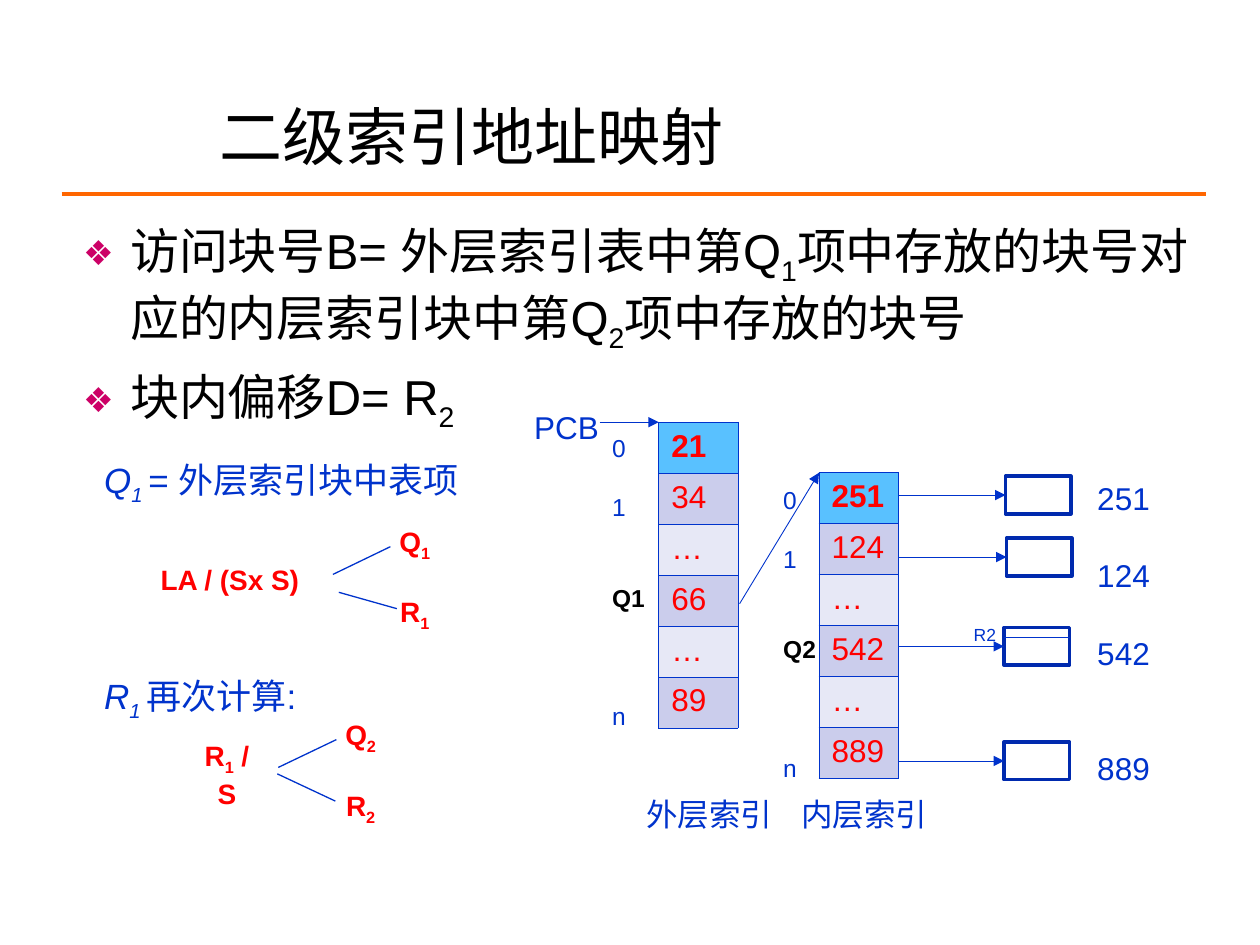
from lxml.etree import SubElement
from pptx import Presentation
from pptx.dml.color import RGBColor
from pptx.enum.shapes import MSO_CONNECTOR, MSO_SHAPE
from pptx.enum.text import MSO_ANCHOR, PP_ALIGN
from pptx.oxml.ns import qn
from pptx.util import Cm, Pt

BLACK = RGBColor(0x00, 0x00, 0x00)
WHITE = RGBColor(0xFF, 0xFF, 0xFF)
RED = RGBColor(0xFF, 0x00, 0x00)
BLUE = RGBColor(0x00, 0x33, 0xCC)
BOX_BLUE = RGBColor(0x00, 0x2A, 0xAE)
ORANGE = RGBColor(0xFF, 0x66, 0x00)
MAGENTA = RGBColor(0xCC, 0x00, 0x66)
HEADER_FILL = RGBColor(0x59, 0xC1, 0xFF)
DARK_FILL = RGBColor(0xCB, 0xCD, 0xEC)
LIGHT_FILL = RGBColor(0xE7, 0xE8, 0xF6)


def write_runs(paragraph, runs, size, color):
    for text, style in runs:
        run = paragraph.add_run()
        run.text = text
        run.font.name = "Arial"
        run.font.size = Pt(size)
        run.font.bold = "bold" in style
        run.font.italic = "italic" in style
        run.font.color.rgb = BLACK if "black" in style else color
        if "sub" in style:
            run._r.get_or_add_rPr().set("baseline", "-25000")


def add_line(start, end, color=BLUE, width=0.5, arrow=False):
    line = slide.shapes.add_connector(
        MSO_CONNECTOR.STRAIGHT, Cm(start[0]), Cm(start[1]), Cm(end[0]), Cm(end[1]))
    line.line.color.rgb = color
    line.line.width = Pt(width)
    if arrow:
        SubElement(line.line._get_or_add_ln(), qn("a:tailEnd"), type="triangle")
    SubElement(line._element.spPr, qn("a:effectLst"))
    return line


presentation = Presentation()
presentation.slide_width = Cm(25.4)
presentation.slide_height = Cm(19.05)
slide = presentation.slides.add_slide(presentation.slide_layouts[1])

add_line((1.24, 3.91), (24.31, 3.91), ORANGE, 2.25)

title = slide.shapes.title
title.left, title.top, title.width, title.height = Cm(4.17), Cm(1.91), Cm(18.44), Cm(1.63)
title.text_frame.vertical_anchor = MSO_ANCHOR.MIDDLE
title_paragraph = title.text_frame.paragraphs[0]
title_paragraph.alignment = PP_ALIGN.LEFT
write_runs(title_paragraph, [("二级索引地址映射", "")], 36, BLACK)

body = slide.placeholders[1]
body.left, body.top, body.width, body.height = Cm(1.42), Cm(4.32), Cm(22.86), Cm(2.39)
body_items = [
    [("访问块号B= 外层索引表中第Q", ""), ("1", "sub"),
     ("项中存放的块号对应的内层索引块中第Q", ""), ("2", "sub"), ("项中存放的块号", "")],
    [("块内偏移D= R", ""), ("2", "sub")],
]
for number, runs in enumerate(body_items):
    frame = body.text_frame
    paragraph = frame.add_paragraph() if number else frame.paragraphs[0]
    paragraph.space_before = Pt(7)
    write_runs(paragraph, runs, 28, BLACK)
    properties = paragraph._p.get_or_add_pPr()
    properties.set("marL", str(Cm(0.95)))
    properties.set("indent", str(Cm(-0.95)))
    bullet_color = SubElement(properties, qn("a:buClr"))
    SubElement(bullet_color, qn("a:srgbClr"), val=str(MAGENTA))
    SubElement(properties, qn("a:buSzPct"), val="70000")
    SubElement(properties, qn("a:buChar"), char="❖")

formulas = [
    (2.97, 11.2, 3.33, 0.94, [("LA / (Sx S)", "bold")]),
    (7.8, 10.44, 1.12, 1.04, [("Q", "bold"), ("1", "bold sub")]),
    (7.8, 11.86, 1.12, 1.04, [("R", "bold"), ("1", "bold sub")]),
    (3.61, 15.09, 1.93, 1.04, [("R", "bold"), ("1", "bold sub"), (" / S", "bold")]),
    (6.71, 14.33, 1.12, 1.04, [("Q", "bold"), ("2", "bold sub")]),
    (6.71, 15.77, 1.12, 1.04, [("R", "bold"), ("2", "bold sub")]),
]
for left, top, width, height, runs in formulas:
    shape = slide.shapes.add_textbox(Cm(left), Cm(top), Cm(width), Cm(height))
    shape.text_frame.word_wrap = False
    shape.text_frame.vertical_anchor = MSO_ANCHOR.MIDDLE
    paragraph = shape.text_frame.paragraphs[0]
    paragraph.alignment = PP_ALIGN.CENTER
    write_runs(paragraph, runs, 16, RED)

branches = [
    ((6.71, 11.58), (7.87, 11.02)),
    ((6.83, 11.94), (8, 12.27)),
    ((5.61, 15.47), (6.78, 14.91)),
    ((5.59, 15.6), (6.76, 16.15)),
]
for start, end in branches:
    add_line(start, end, width=0.75)

add_line((14.91, 12.17), (16.51, 9.53), arrow=True)
add_line((12.09, 8.51), (13.28, 8.51), arrow=True)

index_tables = [
    (13.28, 8.51, ["21", "34", "…", "66", "…", "89"]),
    (16.51, 9.53, ["251", "124", "…", "542", "…", "889"]),
]
for left, top, entries in index_tables:
    table = slide.shapes.add_table(
        len(entries), 1, Cm(left), Cm(top), Cm(1.6), Cm(6.17)).table
    for row, entry in enumerate(entries):
        cell = table.cell(row, 0)
        write_runs(cell.text_frame.paragraphs[0],
                   [(entry, "" if row else "bold")], 18, RED)
        cell_properties = cell._tc.get_or_add_tcPr()
        for side in ("a:lnL", "a:lnR", "a:lnT", "a:lnB"):
            border = SubElement(cell_properties, qn(side), w=str(Pt(0.45)))
            border_fill = SubElement(border, qn("a:solidFill"))
            SubElement(border_fill, qn("a:srgbClr"), val=str(BLUE))
        cell.fill.solid()
        if row == 0:
            cell.fill.fore_color.rgb = HEADER_FILL
        else:
            cell.fill.fore_color.rgb = DARK_FILL if row % 2 else LIGHT_FILL

for left, top in [(20.27, 9.6), (20.29, 10.85), (20.24, 12.65), (20.24, 14.96)]:
    block = slide.shapes.add_shape(
        MSO_SHAPE.RECTANGLE, Cm(left), Cm(top), Cm(1.32), Cm(0.76))
    block.shadow.inherit = False
    block.fill.solid()
    block.fill.fore_color.rgb = WHITE
    block.line.color.rgb = BOX_BLUE
    block.line.width = Pt(2)
    middle = top + 0.38
    arrow = add_line((18.11, middle), (left, middle), arrow=True)
    arrow.end_connect(block, 1)

add_line((20.24, 12.85), (21.56, 12.85))

labels = [
    (1.85, 9.12, 10, 1.27, 20, [
        (0, [("Q", "italic"), ("1 ", "italic sub"), ("= 外层索引块中表项", "")]),
        (96, [("R", "italic"), ("1 ", "italic sub"), ("再次计算:", "")])]),
    (10.52, 8.1, 2.16, 1.02, 18, [(0, [("PCB", "")])]),
    (12.78, 15.9, 3.43, 1.02, 18, [(0, [("外层索引", "")])]),
    (15.9, 15.9, 3.43, 1.02, 18, [(0, [("内层索引", "")])]),
    (19.38, 12.45, 0.97, 0.69, 10, [(0, [("R2", "")])]),
    (21.87, 9.53, 1.83, 6.35, 18, [
        (0, [("251", "")]), (22.7, [("124", "")]),
        (22.7, [("542", "")]), (43.9, [("889", "")])]),
]
for left, top, quotient in [(12.09, 8.61, "Q1"), (15.54, 9.65, "Q2")]:
    labels.append((left, top, 1.19, 6.2, 14, [
        (0, [("0", "")]), (17, [("1", "")]),
        (34.8, [(quotient, "bold black")]), (50.8, [("n", "")])]))

for left, top, width, height, size, paragraphs in labels:
    shape = slide.shapes.add_textbox(Cm(left), Cm(top), Cm(width), Cm(height))
    frame = shape.text_frame
    frame.word_wrap = True
    for number, (gap, runs) in enumerate(paragraphs):
        paragraph = frame.add_paragraph() if number else frame.paragraphs[0]
        paragraph.space_before = Pt(gap)
        write_runs(paragraph, runs, size, BLUE)

presentation.save("out.pptx")
